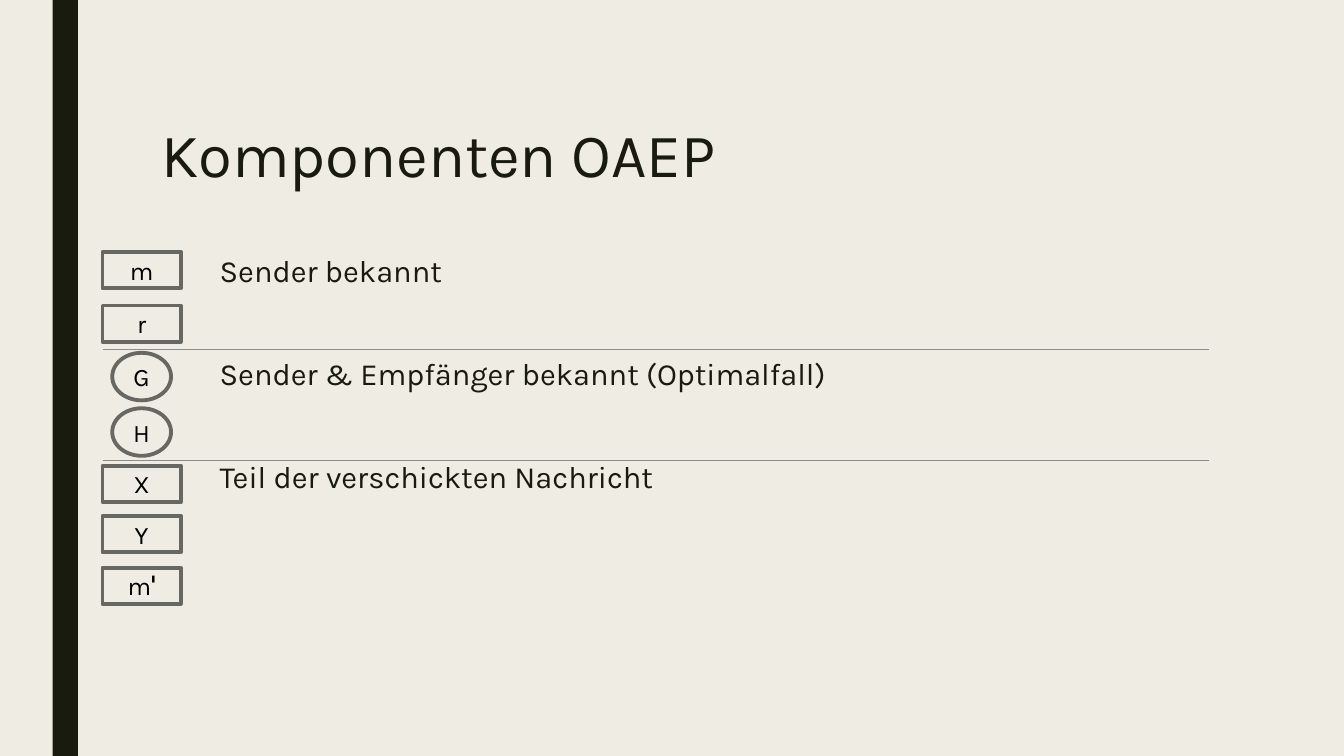
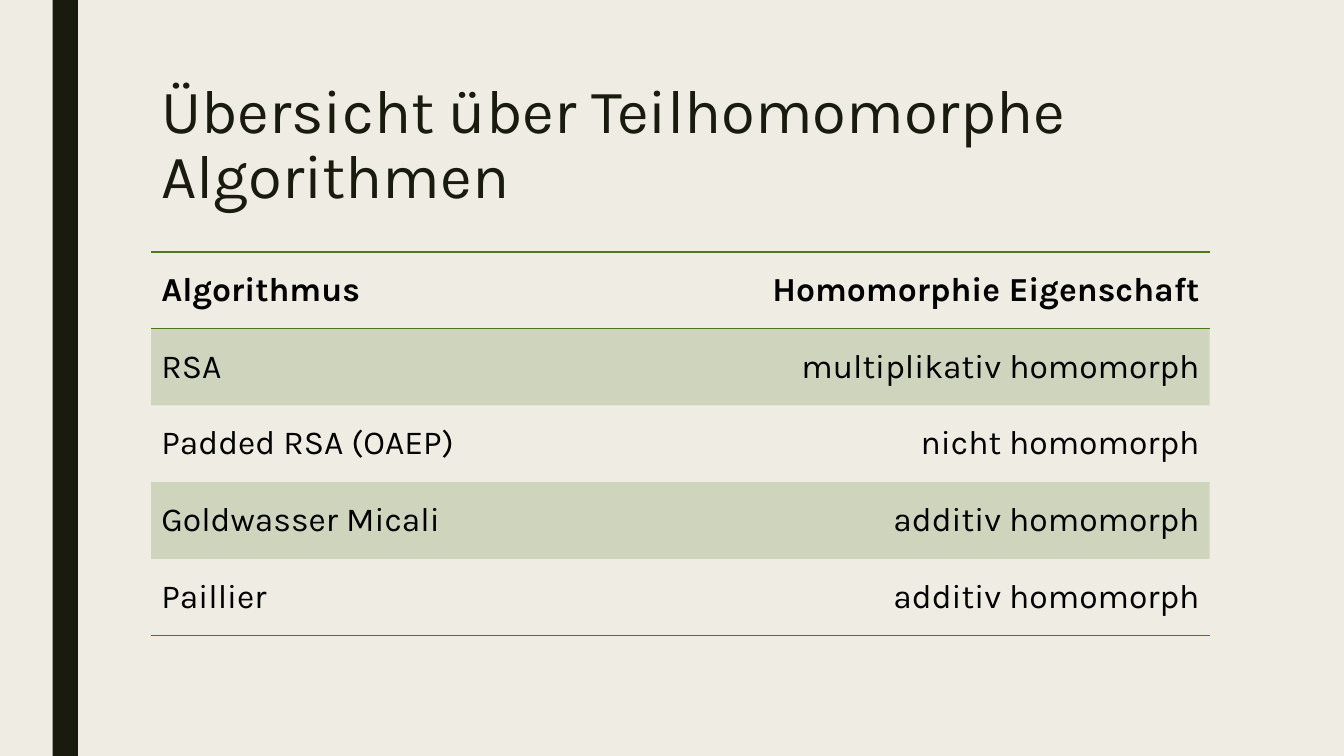
from dataclasses import dataclass

from lxml import etree
from pptx import Presentation
from pptx.dml.color import RGBColor
from pptx.enum.shapes import MSO_CONNECTOR, MSO_SHAPE
from pptx.enum.text import MSO_ANCHOR, PP_ALIGN
from pptx.oxml.ns import qn
from pptx.util import Pt

RECT, OVAL = MSO_SHAPE.RECTANGLE, MSO_SHAPE.OVAL
STRAIGHT = MSO_CONNECTOR.STRAIGHT
TOP, MIDDLE = MSO_ANCHOR.TOP, MSO_ANCHOR.MIDDLE
LEFT, CENTER, RIGHT = PP_ALIGN.LEFT, PP_ALIGN.CENTER, PP_ALIGN.RIGHT


@dataclass(frozen=True)
class Theme:
    font: str = "Karla"
    paper: str = "EFEDE3"
    ink: str = "191B0E"
    black: str = "000000"
    outline: str = "686863"
    divider: str = "8C8D86"
    green: str = "4D7620"
    title_size: float = 44
    body_size: float = 22
    tag_size: float = 18
    table_size: float = 24
    band_alpha: int = 20


class Deck:
    def __init__(self, theme):
        self.t = theme
        self.prs = Presentation()
        self.prs.slide_width, self.prs.slide_height = Pt(960), Pt(540)
        self.s = None

    def slide(self, title, anchor):
        """Start a slide with background, side bar and title."""
        self.s = self.prs.slides.add_slide(self.prs.slide_layouts[6])
        fill = self.s.background.fill
        fill.solid()
        fill.fore_color.rgb = RGBColor.from_string(self.t.paper)
        bar = self.shape(RECT, 37.6, 0, 18, 540)
        bar.fill.solid()
        bar.fill.fore_color.rgb = RGBColor.from_string(self.t.ink)
        bar.line.fill.background()
        self.text([title], (108, 54, 756, 117), self.t.title_size, 0.89, anchor=anchor)

    def run(self, p, text, size, color, bold=False):
        r = p.add_run()
        r.text = text
        r.font.name, r.font.size, r.font.bold = self.t.font, Pt(size), bold
        r.font.color.rgb = RGBColor.from_string(color)

    def text(self, lines, box, size, spacing, gap=0, anchor=TOP):
        tf = self.s.shapes.add_textbox(*map(Pt, box)).text_frame
        tf.word_wrap, tf.vertical_anchor = True, anchor
        for i, line in enumerate(lines):
            p = tf.add_paragraph() if i else tf.paragraphs[0]
            p.line_spacing = spacing
            p.space_before = Pt(gap if i else 0)
            self.run(p, line, size, self.t.ink)

    def shape(self, kind, x, y, w, h):
        sp = self.s.shapes.add_shape(kind, Pt(x), Pt(y), Pt(w), Pt(h))
        sp.shadow.inherit = False
        return sp

    def tag(self, kind, center_x, y, w, h, runs):
        """Outlined shape with a centred label made of (text, bold) runs."""
        sp = self.shape(kind, center_x - w / 2, y, w, h)
        sp.fill.background()
        sp.line.color.rgb = RGBColor.from_string(self.t.outline)
        sp.line.width = Pt(2.75)
        tf = sp.text_frame
        tf.vertical_anchor = MIDDLE
        p = tf.paragraphs[0]
        p.alignment = CENTER
        for text, bold in runs:
            self.run(p, text, self.t.tag_size, self.t.black, bold)

    def divider(self, x1, x2, y):
        ln = self.s.shapes.add_connector(STRAIGHT, Pt(x1), Pt(y), Pt(x2), Pt(y))
        ln.line.color.rgb = RGBColor.from_string(self.t.divider)
        ln.line.width = Pt(0.5)
        etree.SubElement(ln._element.spPr, qn("a:effectLst"))

    def border(self, cell, side, ruled):
        ln = etree.SubElement(cell._tc.get_or_add_tcPr(), qn("a:ln" + side))
        if ruled:
            ln.set("w", str(Pt(1)))
            fill = etree.SubElement(ln, qn("a:solidFill"))
            etree.SubElement(fill, qn("a:srgbClr"), val=self.t.green)
        else:
            ln.set("w", "0")
            etree.SubElement(ln, qn("a:noFill"))

    def band(self, cell):
        cell.fill.solid()
        cell.fill.fore_color.rgb = RGBColor.from_string(self.t.green)
        color = cell._tc.tcPr.find(qn("a:solidFill")).find(qn("a:srgbClr"))
        etree.SubElement(color, qn("a:alpha"), val=str(self.t.band_alpha * 1000))

    def table(self, rows, box, aligns):
        frame = self.s.shapes.add_table(len(rows), len(aligns), *map(Pt, box))
        tbl = frame.table
        tbl.first_row = tbl.horz_banding = False
        ruled_edges = {0, 1, len(rows)}
        for i, row in enumerate(rows):
            for j, text in enumerate(row):
                cell = tbl.cell(i, j)
                cell.vertical_anchor = MIDDLE
                p = cell.text_frame.paragraphs[0]
                p.alignment = aligns[j]
                self.run(p, text, self.t.table_size, self.t.black, bold=i == 0)
                # Borders come before the fill in the cell properties
                for side, edge in (("L", None), ("R", None), ("T", i), ("B", i + 1)):
                    self.border(cell, side, edge in ruled_edges)
                if i % 2:
                    self.band(cell)
                else:
                    cell.fill.background()


def components(deck):
    deck.slide("Komponenten OAEP", MIDDLE)
    deck.text(
        ["Sender bekannt", "Sender & Empfänger bekannt (Optimalfall)",
         "Teil der verschickten Nachricht"],
        (149.8, 178.6, 710, 316.8), deck.t.body_size, 0.94, gap=48.8)
    # Values are boxes, functions are circles
    sizes = {RECT: (56, 26), OVAL: (42, 34)}
    for kind, y, runs in (
        (RECT, 180, [("m", False)]),
        (RECT, 218.2, [("r", False)]),
        (OVAL, 252, [("G", False)]),
        (OVAL, 291.6, [("H", False)]),
        (RECT, 332.6, [("X", False)]),
        (RECT, 368.6, [("Y", False)]),
        (RECT, 405.4, [("m", False), ("ˈ", True)]),
    ):
        deck.tag(kind, 101.2, y, *sizes[kind], runs)
    for y in (249.3, 328.8):
        deck.divider(73.5, 863.6, y)


def overview(deck):
    deck.slide("Übersicht über Teilhomomorphe Algorithmen", TOP)
    deck.table(
        [("Algorithmus", "Homomorphie Eigenschaft"),
         ("RSA", "multiplikativ homomorph"),
         ("Padded RSA (OAEP)", "nicht homomorph"),
         ("Goldwasser Micali", "additiv homomorph"),
         ("Paillier", "additiv homomorph")],
        (108, 180, 756, 274), (LEFT, RIGHT))


def main():
    deck = Deck(Theme())
    components(deck)
    overview(deck)
    deck.prs.save("out.pptx")


if __name__ == "__main__":
    main()
